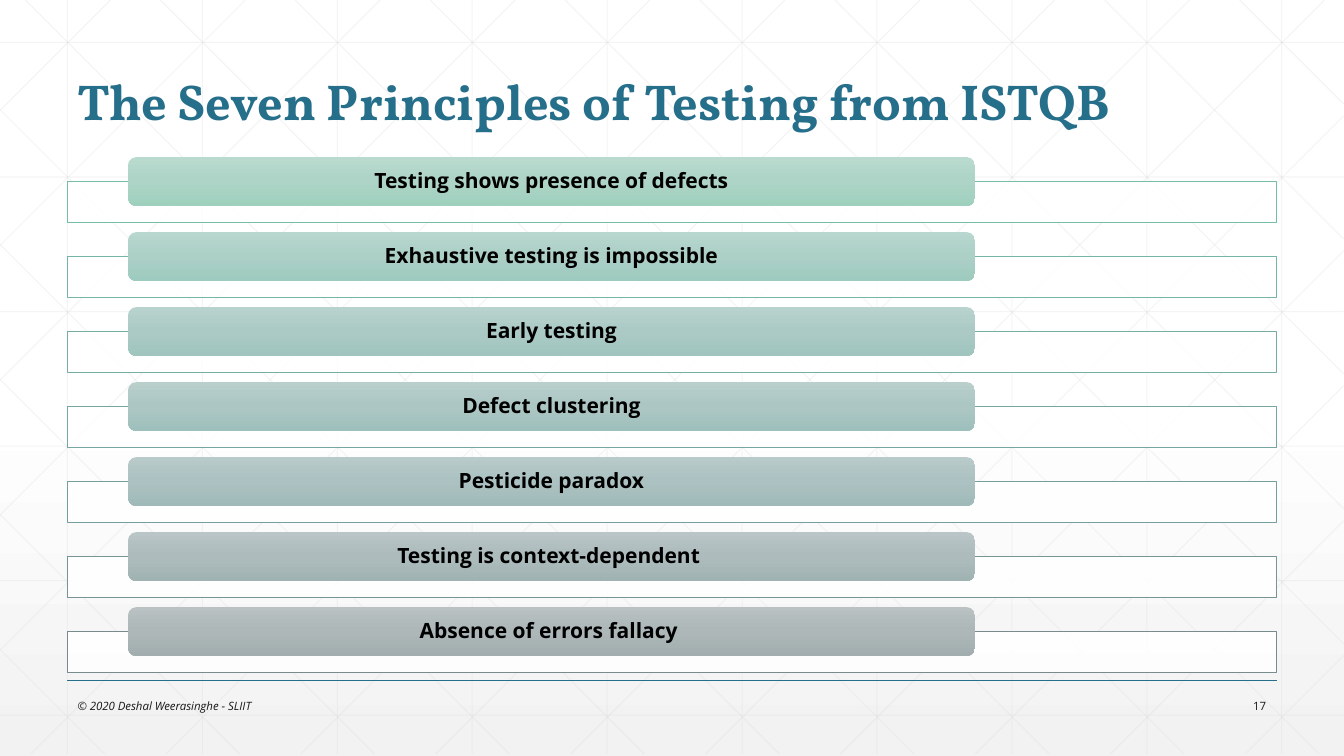
"""Build the slide on the seven principles of testing."""
from dataclasses import dataclass

from lxml.etree import SubElement
from pptx import Presentation
from pptx.dml.color import RGBColor
from pptx.enum.shapes import MSO_CONNECTOR, MSO_SHAPE
from pptx.enum.text import MSO_ANCHOR, PP_ALIGN
from pptx.oxml.ns import qn
from pptx.util import Cm, Pt


@dataclass(frozen=True)
class Theme:
    heading_font: str = "Vollkorn"
    body_font: str = "Open Sans"
    accent: str = "266F8B"
    grid: str = "D8D8D8"
    white: str = "FFFFFF"
    background_end: str = "F2F2F2"
    bar_text: str = "000000"
    footer_text: str = "191919"
    title_size: float = 36
    bar_size: float = 15
    footer_size: float = 8.2


theme = Theme()


def write_text(shape, text, font, size, color, bold=False, italic=False,
               align=PP_ALIGN.LEFT, spacing=1.0, side=0.25, edge=0.13):
    frame = shape.text_frame
    frame.word_wrap = True
    frame.vertical_anchor = MSO_ANCHOR.MIDDLE
    frame.margin_left = frame.margin_right = Cm(side)
    frame.margin_top = frame.margin_bottom = Cm(edge)
    paragraph = frame.paragraphs[0]
    paragraph.alignment = align
    paragraph.line_spacing = spacing
    run = paragraph.add_run()
    run.text = text
    run.font.name = font
    run.font.size = Pt(size)
    run.font.bold = bold
    run.font.italic = italic
    run.font.color.rgb = RGBColor.from_string(color)


def paint_gradient(owner, fill, stops):
    fill.gradient()
    fill.gradient_angle = 270
    stop_list = next(owner.element.iter(qn("a:gsLst")))
    for old_stop in list(stop_list):
        stop_list.remove(old_stop)
    for position, color in stops:
        stop = SubElement(stop_list, qn("a:gs"), pos=str(position * 1000))
        SubElement(stop, qn("a:srgbClr"), val=color)


presentation = Presentation()
presentation.slide_width = Cm(33.87)
presentation.slide_height = Cm(19.05)
slide = presentation.slides.add_slide(presentation.slide_layouts[6])
paint_gradient(slide.background, slide.background.fill,
               [(0, theme.white), (53, theme.white), (100, theme.background_end)])

grid_right, grid_bottom, grid_step = 33.86, 19, 3.4
grid_lines = []
for column in range(10):
    x = 1.7 + column * grid_step
    grid_lines.append((x, 0, x, grid_bottom))
for row in range(6):
    y = 1.07 + row * 3.39
    grid_lines.append((0, y, grid_right, y))
for first, direction in ((0.64, 1), (33.38, -1)):
    for index in range(-5, 10):
        start = first + direction * index * grid_step
        x1, x2 = (min(max(x, 0), grid_right)
                  for x in (start, start + direction * grid_bottom))
        grid_lines.append((x1, (x1 - start) * direction, x2, (x2 - start) * direction))

styled_lines = [(ends, theme.grid, 0.75, 25) for ends in grid_lines]
styled_lines.append(((1.7, 17.15, 32.18, 17.15), theme.accent, 1, 100))
for ends, color, width, opacity in styled_lines:
    connector = slide.shapes.add_connector(MSO_CONNECTOR.STRAIGHT, *map(Cm, ends))
    connector.line.color.rgb = RGBColor.from_string(color)
    connector.line.width = Pt(width)
    line_color = next(connector.element.iter(qn("a:srgbClr")))
    SubElement(line_color, qn("a:alpha"), val=str(opacity * 1000))
    SubElement(connector.element.spPr, qn("a:effectLst"))

title = slide.shapes.add_textbox(Cm(1.7), Cm(1.4), Cm(30.6), Cm(2.46))
write_text(title, "The Seven Principles of Testing from ISTQB", theme.heading_font,
           theme.title_size, theme.accent, bold=True, spacing=0.9)
copyright_box = slide.shapes.add_textbox(Cm(1.7), Cm(17.48), Cm(17), Cm(0.6))
write_text(copyright_box, "© 2020 Deshal Weerasinghe - SLIIT", theme.body_font,
           theme.footer_size, theme.footer_text, italic=True)
number_box = slide.shapes.add_textbox(Cm(29.62), Cm(17.48), Cm(2.54), Cm(0.6))
write_text(number_box, "17", theme.body_font, theme.footer_size, theme.footer_text,
           align=PP_ALIGN.RIGHT)

principles = [
    ("Testing shows presence of defects", "75BDA5", "B9DBCF", "ADD4C6", "9FD0BE"),
    ("Exhaustive testing is impossible", "74B5A5", "B8D7CF", "ACCFC6", "9ECBBF"),
    ("Early testing", "75ADA4", "B8D3CE", "ACCAC5", "9FC5BE"),
    ("Defect clustering", "75A6A1", "B8CFCC", "ACC6C3", "9EC0BC"),
    ("Pesticide paradox", "769E9D", "B8CACA", "ACC1C1", "9FBAB9"),
    ("Testing is context-dependent ", "789495", "B9C5C6", "ADBBBC", "A0B3B3"),
    ("Absence of errors fallacy ", "798B8D", "B9C1C2", "ADB7B8", "A1ADAE"),
]
for index, (principle, outline, *bar_colors) in enumerate(principles):
    top = 3.96 + index * 1.89
    frame_box = slide.shapes.add_shape(
        MSO_SHAPE.RECTANGLE, Cm(1.7), Cm(top + 0.61), Cm(30.48), Cm(1.05))
    frame_box.shadow.inherit = False
    frame_box.fill.solid()
    frame_box.fill.fore_color.rgb = RGBColor.from_string(theme.white)
    fill_color = next(frame_box.element.iter(qn("a:srgbClr")))
    SubElement(fill_color, qn("a:alpha"), val="90000")
    frame_box.line.color.rgb = RGBColor.from_string(outline)
    frame_box.line.width = Pt(0.75)

    bar = slide.shapes.add_shape(
        MSO_SHAPE.ROUNDED_RECTANGLE, Cm(3.23), Cm(top), Cm(21.34), Cm(1.23))
    bar.adjustments[0] = 0.167
    bar.shadow.inherit = False
    paint_gradient(bar, bar.fill, zip((0, 50, 100), bar_colors))
    bar.line.fill.background()
    write_text(bar, principle, theme.body_font, theme.bar_size, theme.bar_text,
               bold=True, align=PP_ALIGN.CENTER, spacing=0.9, side=0.81, edge=0)

presentation.save("out.pptx")
